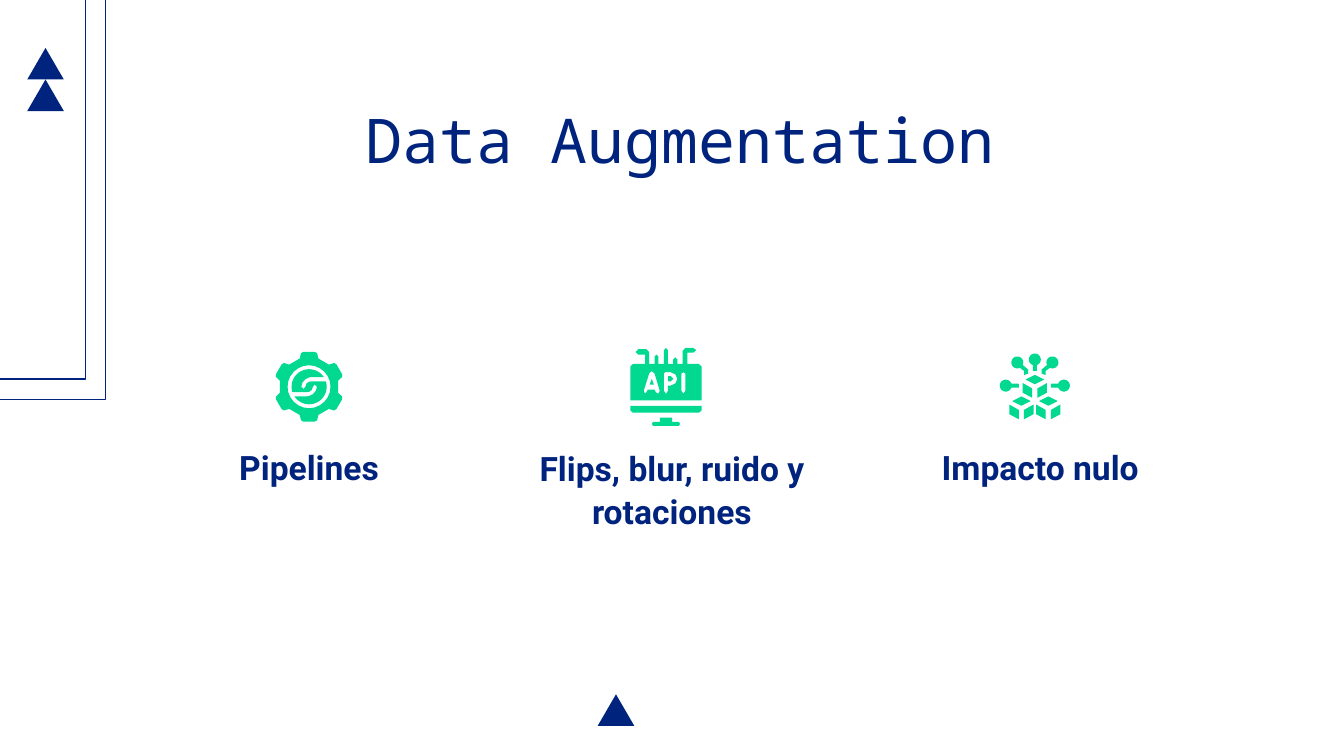
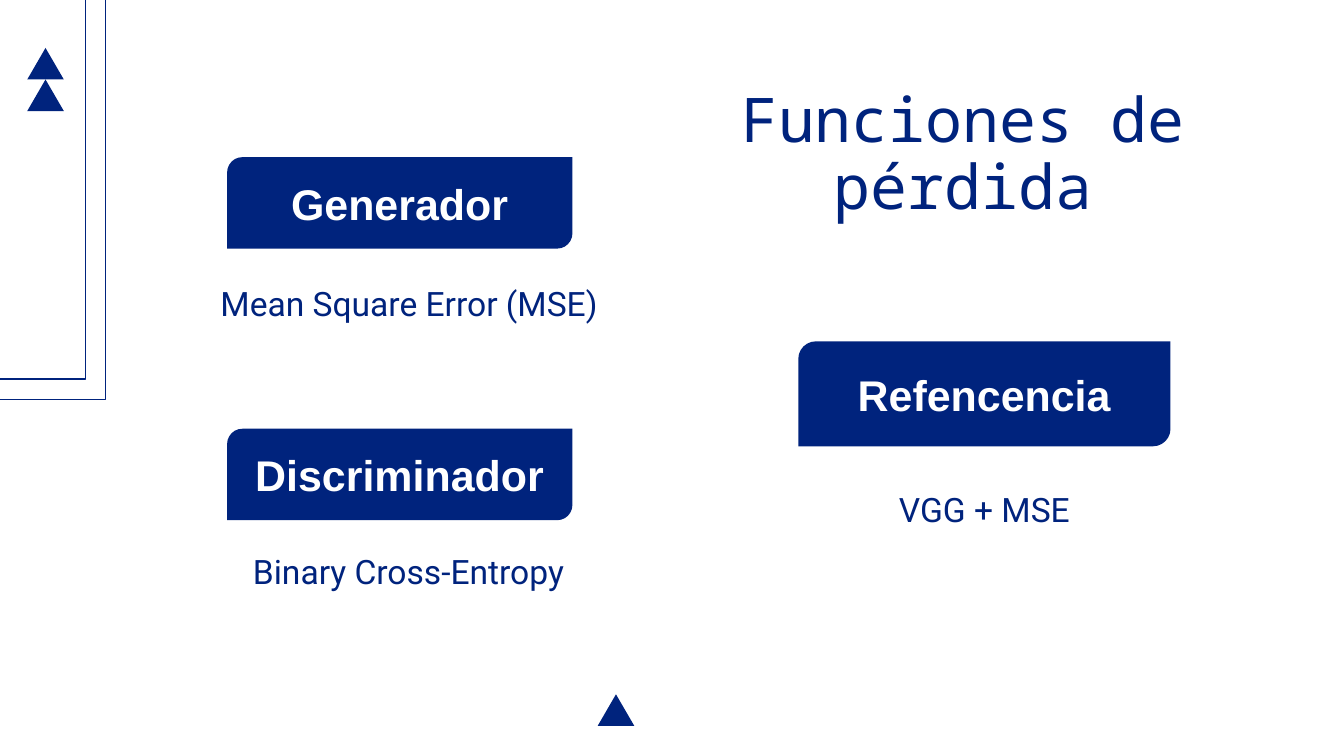
"""Build two slides on data augmentation and loss functions."""
from math import cos, radians, sin

from pptx import Presentation
from pptx.dml.color import RGBColor
from pptx.enum.shapes import MSO_SHAPE
from pptx.enum.text import MSO_ANCHOR, MSO_AUTO_SIZE, PP_ALIGN
from pptx.oxml.ns import qn
from pptx.util import Pt

NAVY = RGBColor(0x00, 0x23, 0x7D)
GREEN = RGBColor(0x00, 0xD9, 0x8F)
WHITE = RGBColor(0xFF, 0xFF, 0xFF)
CENTER = PP_ALIGN.CENTER
TOP, MIDDLE = MSO_ANCHOR.TOP, MSO_ANCHOR.MIDDLE
NO_AUTOFIT = MSO_AUTO_SIZE.NONE
RECTANGLE = MSO_SHAPE.RECTANGLE
DIAGONAL_BOX = MSO_SHAPE.ROUND_2_DIAG_RECTANGLE
COMPARISON_LAYOUT = 4

TITLE_FONT = {"name": "Noto Sans Mono", "size": Pt(33), "bold": False}
LABEL_FONT = {"name": "Roboto", "size": Pt(18), "bold": False}
HEADING_FONT = {**LABEL_FONT, "bold": True}
BOX_FONT = {"name": "Arial", "size": Pt(23), "bold": True}
TITLE_PARAGRAPH = {"alignment": CENTER, "line_spacing": 0.9}
LABEL_PARAGRAPH = {"alignment": CENTER, "line_spacing": 1.05,
                   "space_before": Pt(0), "space_after": Pt(16)}
BOX_PARAGRAPH = {"alignment": CENTER}
FRAME = {"word_wrap": True, "auto_size": NO_AUTOFIT,
         **{f"margin_{side}": Pt(7.2) for side in ("left", "right", "top", "bottom")}}

SCREEN = [(0, 28.1), (0, 10), (1.4, 8.6), (7.9, 8.6), (7.9, 3.6), (4.3, 3.6),
          (2.9, 2.2), (4.3, 0.7), (8.6, 0.7), (10.1, 2.2), (10.1, 8.6),
          (13, 8.6), (13, 4.6), (14, 3.6), (15.1, 4.6), (15.1, 8.6),
          (18, 8.6), (18, 1.2), (19.1, 0), (20.2, 1.2), (20.2, 8.6),
          (23, 8.6), (23, 6.2), (24.1, 5), (25.2, 6.2), (25.2, 8.6),
          (28.1, 8.6), (28.1, 1.4), (29.5, 0), (33.8, 0), (35.3, 1.2),
          (33.8, 2.5), (30.6, 2.5), (30.6, 8.6), (36.7, 8.6), (38.2, 10), (38.2, 28.1)]
LETTER_A = [(7.2, 23), (10.1, 13.7), (11.5, 12.4), (13, 13.7), (15.8, 23), (15, 24.5),
            (13.7, 23.8), (13, 22.3), (9.4, 22.3), (8.6, 23.8), (7.9, 24.5)]
LETTER_P = [(18, 13.7), (18.7, 13), (21.6, 13), (24.2, 14.2), (25.2, 16.6), (24.2, 19),
            (21.6, 20.2), (20.2, 20.2), (20.2, 23), (19.1, 24.5), (18, 23)]
LETTER_I = [(27.4, 13.7), (28.4, 13), (29.5, 13.7), (29.5, 23), (28.4, 24.5), (27.4, 23)]
HOLE_A = [(11.5, 16.6), (10.4, 19.7), (12.6, 19.7)]
HOLE_P = [(20.2, 15.1), (21.6, 15.1), (23, 16.6), (21.6, 18), (20.2, 18)]
SCREEN_EDGE = [(0, 31), (38.2, 31), (38.2, 33.5), (36.7, 34.7), (1.4, 34.7), (0, 33.5)]
STAND = [(15.8, 37.4), (22.3, 37.4), (22.3, 39.6), (26, 39.6), (26.6, 40.7),
         (26, 41.8), (12.2, 41.8), (11.5, 40.7), (12.2, 39.6), (15.8, 39.6)]
SWIRL = [(-1.4, 2.9), (0, 2.7), (1.4, 1.8), (2, 0), (2.9, -1.2), (4.2, 0),
         (3.6, 2.2), (2, 4), (0, 5), (-1.4, 5.2), (-7.9, 5.2)]
TOOTH = [(15.1, -5), (18, -4.3), (18.7, -3), (18.7, 3), (18, 4.3), (15.1, 5)]
CUBE_TOP = [(0, -2.5), (5, 0), (0, 2.5), (-5, 0)]
CUBE_SIDE = [(-6.5, 1.8), (-6.5, 7), (-1.4, 9.7), (-1.4, 4.7)]


def format_all(target, values):
    for key, value in values.items():
        setattr(target, key, value)


def arc(x, y, radius, start, end, steps=24):
    angles = [radians(start + (end - start) * i / steps) for i in range(steps + 1)]
    return [(x + radius * cos(a), y + radius * sin(a)) for a in angles]


def mirror(points):
    return [(-x, y) for x, y in points]


def node(x, y, direction, stem):
    return arc(x, y, 3.2, direction + 20, direction + 340) + stem


class Deck:
    def __init__(self):
        self.presentation = Presentation()
        self.presentation.slide_width = Pt(720)
        self.presentation.slide_height = Pt(405)
        self.layout = self.presentation.slide_layouts[COMPARISON_LAYOUT]
        self.slide = None

    def new_slide(self, title, box, labels, font):
        self.slide = self.presentation.slides.add_slide(self.layout)
        heading, *bodies = list(self.slide.placeholders)
        self.placeholder(heading, title, box, TITLE_FONT, TITLE_PARAGRAPH, MIDDLE)
        for body, (text, place) in zip(bodies, labels):
            self.placeholder(body, text, place, font, LABEL_PARAGRAPH, TOP)
        for unused in bodies[len(labels):]:
            unused.element.getparent().remove(unused.element)

    def placeholder(self, shape, text, box, font, paragraph, anchor):
        format_all(shape, dict(zip(("left", "top", "width", "height"), map(Pt, box))))
        self.set_text(shape, text, font, NAVY, paragraph, anchor)

    def set_text(self, shape, text, font, color, paragraph_format, anchor):
        frame = shape.text_frame
        format_all(frame, {**FRAME, "vertical_anchor": anchor})
        paragraph = frame.paragraphs[0]
        properties = paragraph._p.get_or_add_pPr()
        properties.set("marL", "0")
        properties.set("indent", "0")
        properties.append(properties.makeelement(qn("a:buNone"), {}))
        format_all(paragraph, paragraph_format)
        run = paragraph.add_run()
        run.text = text
        format_all(run.font, font)
        run.font.color.rgb = color

    def paint(self, shape, color):
        shape.shadow.inherit = False
        shape.fill.solid()
        shape.fill.fore_color.rgb = color
        shape.line.fill.background()
        return shape

    def polygon(self, origin, color, *contours):
        left, top = origin
        placed = [[(Pt(left + x), Pt(top + y)) for x, y in c] for c in contours]
        builder = self.slide.shapes.build_freeform(*placed[0][0], scale=1.0)
        builder.add_line_segments(placed[0][1:], close=True)
        for contour in placed[1:]:
            builder.move_to(*contour[0])
            builder.add_line_segments(contour[1:], close=True)
        return self.paint(builder.convert_to_shape(), color)

    def outline(self, *box):
        shape = self.slide.shapes.add_shape(RECTANGLE, *map(Pt, box))
        shape.shadow.inherit = False
        shape.fill.background()
        shape.line.color.rgb = NAVY
        shape.line.width = Pt(0.75)
        return shape

    def box(self, text, *box):
        shape = self.slide.shapes.add_shape(DIAGONAL_BOX, *map(Pt, box))
        self.paint(shape, NAVY)
        self.set_text(shape, text, BOX_FONT, WHITE, BOX_PARAGRAPH, MIDDLE)

    def decorate_layout(self):
        corner = [self.outline(left, top, 66.5, 389)
                  for left, top in ((-10, -175), (-20.5, -186))]
        triangles = [self.polygon(apex, NAVY, [(0, 0), (-9.8, 16.9), (9.8, 16.9)])
                     for apex in ((24.4, 25.7), (24.4, 42.6), (330, 372))]
        for shape in corner + triangles:
            self.layout.shapes.element.append(shape.element)

    def gear_icon(self, center):
        half = arc(0, 0, 9.4, -34, -198) + SWIRL
        self.polygon(center, GREEN, half + [(-x, -y) for x, y in half])
        teeth = [(r * cos(a) - t * sin(a), r * sin(a) + t * cos(a))
                 for a in map(radians, range(30, 390, 60)) for r, t in TOOTH]
        self.polygon(center, GREEN, teeth, arc(0, 0, 11.5, 360, 0))

    def api_icon(self, corner):
        self.polygon(corner, GREEN, SCREEN, LETTER_A, LETTER_P, LETTER_I)
        for part in (HOLE_A, HOLE_P, SCREEN_EDGE, STAND):
            self.polygon(corner, GREEN, part)

    def network_icon(self, center):
        x, y = center
        for cube in ((x, y), (x - 7.2, y + 11.5), (x + 7.2, y + 11.5)):
            for face in (CUBE_TOP, CUBE_SIDE, mirror(CUBE_SIDE)):
                self.polygon(cube, GREEN, face)
        self.polygon(center, GREEN, node(0, -10.8, 90, [(1.1, -4.7), (-1.1, -4.7)]))
        elbow = [(-3.6, -5.4), (-3.6, -3.2), (-5.8, -2.5), (-5.8, -4.7)]
        for arm in (node(-9.4, -9.2, 45, elbow),
                    node(-15.6, 3.2, 0, [(-8.6, 2.2), (-8.6, 4.3)])):
            self.polygon(center, GREEN, arm)
            self.polygon(center, GREEN, mirror(arm))


def main():
    deck = Deck()
    deck.new_slide("Data Augmentation", (139.7, 46.8, 449.3, 59.8), [
        ("Pipelines", (68.4, 231.1, 194.4, 35.3)),
        ("Flips, blur, ruido y rotaciones", (262.8, 231.8, 194.4, 77)),
        ("Impacto nulo", (460.1, 231.1, 194.4, 35.3)),
    ], HEADING_FONT)
    deck.decorate_layout()
    deck.gear_icon((165.6, 207.2))
    deck.api_icon((337.7, 186.4))
    deck.network_icon((554.4, 203.4))

    deck.new_slide("Funciones de pérdida", (352, 33.8, 327.6, 99.4), [
        ("Mean Square Error (MSE)", (101.5, 143.3, 235.4, 35.3)),
        ("Binary Cross-Entropy", (121.7, 286.6, 194.4, 35.3)),
        ("VGG + MSE", (422.6, 253.4, 209.5, 41)),
    ], LABEL_FONT)
    deck.box("Generador", 121.7, 84.2, 185, 49)
    deck.box("Discriminador", 121.7, 229.7, 185, 49)
    deck.box("Refencencia", 427.7, 182.9, 199.4, 56.2)
    deck.presentation.save("out.pptx")


if __name__ == "__main__":
    main()
